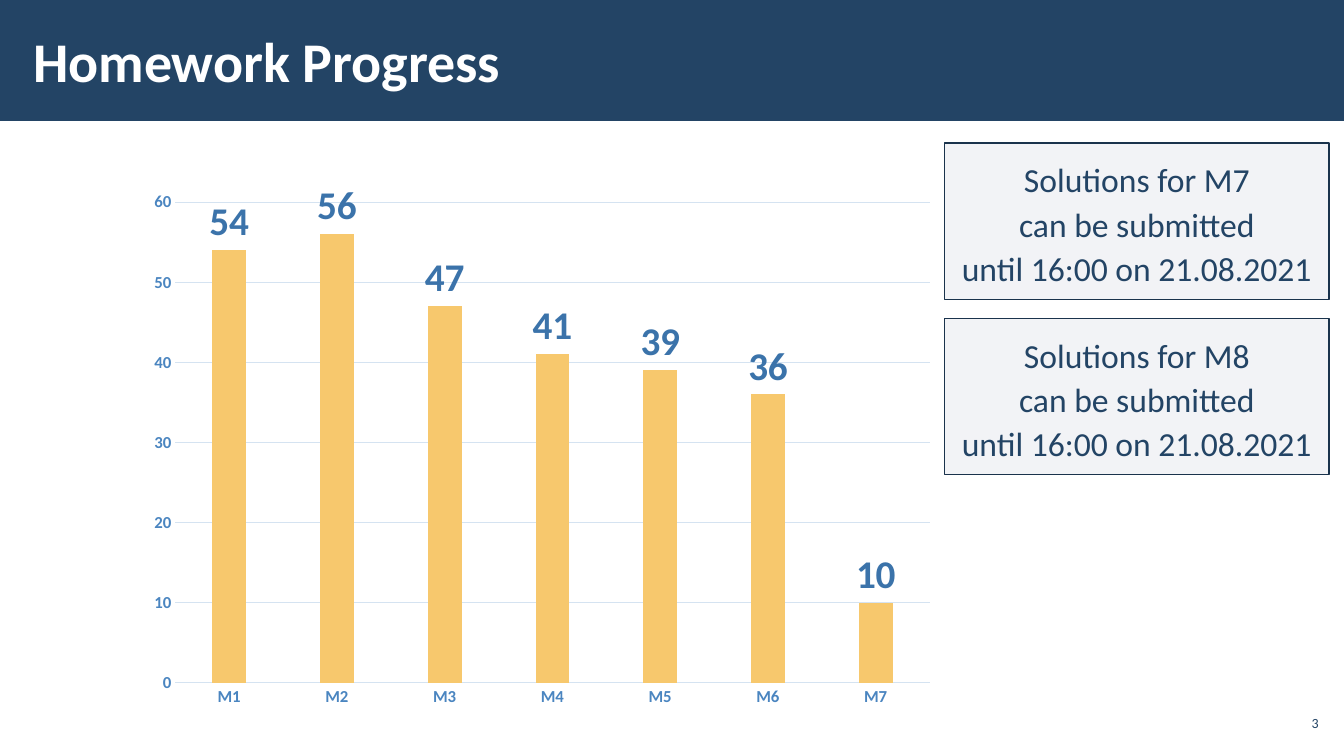
from lxml import etree
from pptx import Presentation
from pptx.chart.data import CategoryChartData
from pptx.dml.color import RGBColor
from pptx.enum.chart import XL_CHART_TYPE, XL_LABEL_POSITION, XL_TICK_MARK
from pptx.enum.shapes import MSO_SHAPE
from pptx.enum.text import MSO_ANCHOR, MSO_AUTO_SIZE, PP_ALIGN
from pptx.oxml.ns import qn
from pptx.util import Inches, Pt

RECTANGLE = MSO_SHAPE.RECTANGLE
COLUMNS = XL_CHART_TYPE.COLUMN_CLUSTERED
ABOVE_BAR = XL_LABEL_POSITION.OUTSIDE_END
NO_TICK = XL_TICK_MARK.NONE
TOP, MIDDLE = MSO_ANCHOR.TOP, MSO_ANCHOR.MIDDLE
LEFT, CENTER, RIGHT = PP_ALIGN.LEFT, PP_ALIGN.CENTER, PP_ALIGN.RIGHT

FONT = "Calibri"
COLORS = {
    "navy": "234465",
    "white": "FFFFFF",
    "bar": "F7C86D",
    "grid": "D5E3F1",
    "axis": "4A85C0",
    "value": "3B73AA",
    "note": "ADB4C3",
    "note_line": "1A334C",
}


def set_font(font, size, color, bold=False):
    font.name = FONT
    font.size = Pt(size)
    font.bold = bold
    font.color.rgb = RGBColor.from_string(COLORS[color])


def write_lines(box, lines, size, color, align, anchor, margins, bold=False, spacing=None):
    """Fill a box with one paragraph per line; margins are (sides, top and bottom)."""
    frame = box.text_frame
    frame.vertical_anchor = anchor
    frame.margin_left = frame.margin_right = Inches(margins[0])
    frame.margin_top = frame.margin_bottom = Inches(margins[1])
    for index, line in enumerate(lines):
        para = frame.paragraphs[0] if index == 0 else frame.add_paragraph()
        para.alignment = align
        para.line_spacing = spacing
        span = para.add_run()
        span.text = line
        set_font(span.font, size, color, bold)


deck = Presentation()
deck.slide_width, deck.slide_height = Inches(13.33), Inches(7.5)
page = deck.slides.add_slide(deck.slide_layouts[6])

# Title band and page number
band = page.shapes.add_shape(RECTANGLE, 0, 0, deck.slide_width, Inches(1.2))
band.shadow.inherit = False
band.fill.solid()
band.fill.fore_color.rgb = RGBColor.from_string(COLORS["navy"])
band.line.fill.background()

title = page.shapes.add_textbox(Inches(0.21), Inches(0.11), Inches(10.4), Inches(0.97))
title.text_frame.word_wrap = True
write_lines(title, ["Homework Progress"], 40, "white", LEFT, MIDDLE, (0.12, 0.04), bold=True)

number = page.shapes.add_textbox(Inches(12.65), Inches(7), Inches(0.47), Inches(0.34))
number.text_frame.word_wrap = True
write_lines(number, ["3"], 10, "navy", RIGHT, MIDDLE, (0.04, 0.04))

# Submissions per homework
data = CategoryChartData()
data.categories = [f"M{module}" for module in range(1, 8)]
data.add_series("Series 1", (54, 56, 47, 41, 39, 36, 10))
chart = page.shapes.add_chart(
    COLUMNS, Inches(1.37), Inches(1.8), Inches(8.01), Inches(5.32), data
).chart
chart.has_legend = False
chart.has_title = False
set_font(chart.font, 10, "navy")

for axis in (chart.category_axis, chart.value_axis):
    axis.major_tick_mark = axis.minor_tick_mark = NO_TICK
    set_font(axis.tick_labels.font, 12, "axis", bold=True)

chart.value_axis.minimum_scale = 0
chart.value_axis.maximum_scale = 60
chart.value_axis.major_unit = 10
chart.value_axis.has_major_gridlines = True
chart.value_axis.format.line.fill.background()
for line in (chart.category_axis.format.line, chart.value_axis.major_gridlines.format.line):
    line.color.rgb = RGBColor.from_string(COLORS["grid"])
    line.width = Pt(0.75)

plot = chart.plots[0]
plot.vary_by_categories = False
plot.gap_width = 219
plot.overlap = -27
series = plot.series[0]
series.format.fill.solid()
series.format.fill.fore_color.rgb = RGBColor.from_string(COLORS["bar"])
labels = series.data_labels
labels.show_value = True
labels.position = ABOVE_BAR
set_font(labels.font, 28, "value", bold=True)

# Deadline notes
for module, top in (("M7", 1.42), ("M8", 3.16)):
    note = page.shapes.add_shape(RECTANGLE, Inches(9.37), Inches(top), Inches(3.81), Inches(1.55))
    note.shadow.inherit = False
    note.fill.solid()
    note.fill.fore_color.rgb = RGBColor.from_string(COLORS["note"])
    fill_color = note.fill._xPr.find(qn("a:solidFill"))[0]
    etree.SubElement(fill_color, qn("a:alpha"), val="15000")
    note.line.color.rgb = RGBColor.from_string(COLORS["note_line"])
    note.line.width = Pt(1)
    note.text_frame.word_wrap = False
    note.text_frame.auto_size = MSO_AUTO_SIZE.SHAPE_TO_FIT_TEXT
    lines = [f"Solutions for {module}", "can be submitted", "until 16:00 on 21.08.2021"]
    write_lines(note, lines, 24, "navy", CENTER, TOP, (0.16, 0.12), spacing=1.1)

deck.save("out.pptx")
